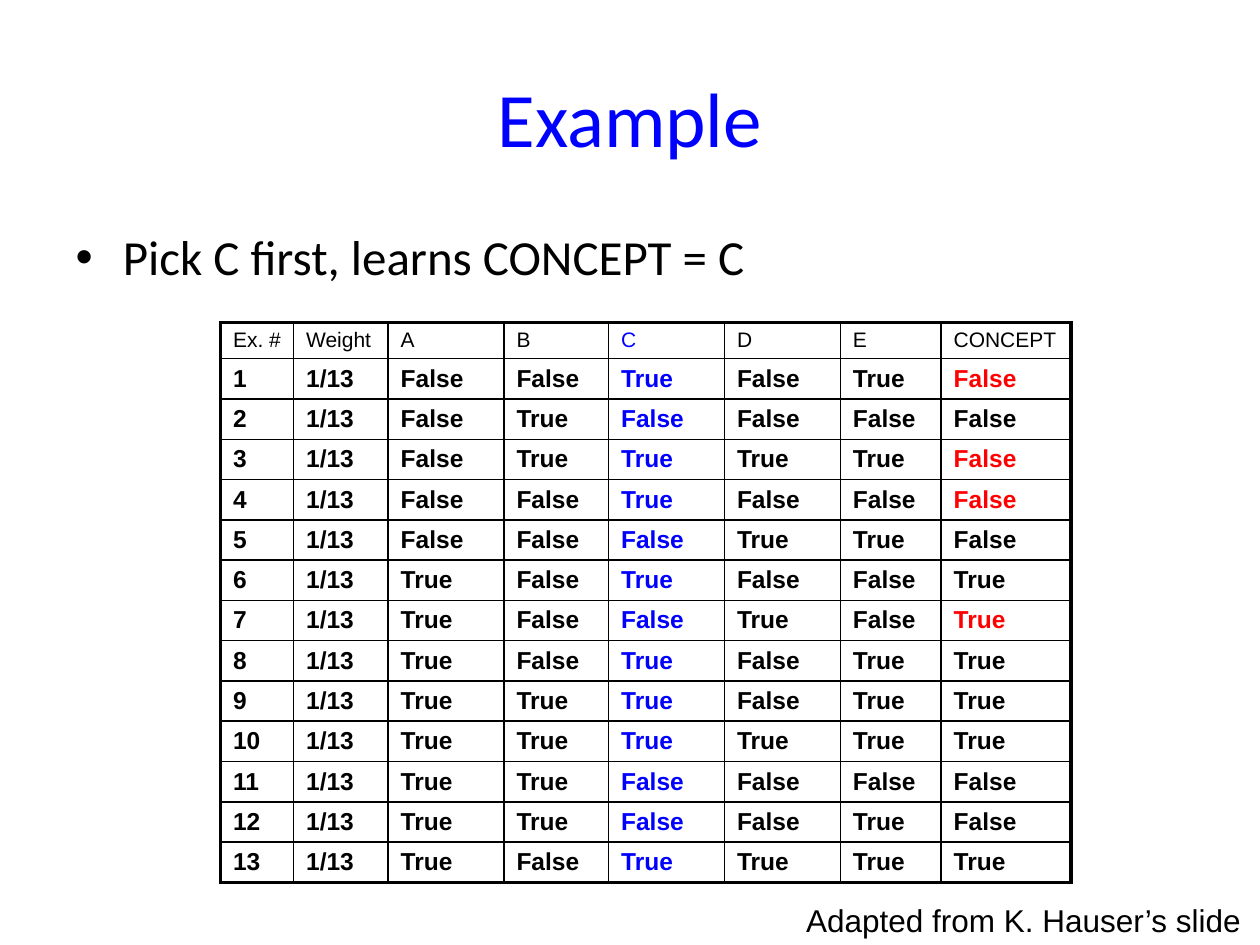
from dataclasses import dataclass

from lxml.etree import SubElement
from pptx import Presentation
from pptx.dml.color import RGBColor
from pptx.enum.text import MSO_ANCHOR as Anchor, MSO_AUTO_SIZE as AutoSize, PP_ALIGN as Align
from pptx.oxml.ns import qn
from pptx.slide import Slide
from pptx.table import _Cell as Cell
from pptx.text.text import TextFrame
from pptx.util import Inches, Pt

BLACK = RGBColor(0x00, 0x00, 0x00)
BLUE = RGBColor(0x00, 0x00, 0xFF)
RED = RGBColor(0xFF, 0x00, 0x00)

THIN, THICK = 1, 2.25
HEADER_HEIGHT, ROW_HEIGHT = 0.28, 0.32


@dataclass(frozen=True)
class Column:
    label: str
    width: float
    color: RGBColor = BLACK


@dataclass(frozen=True)
class Example:
    number: int
    values: str

    @property
    def misclassified(self) -> bool:
        return self.values[2] != self.values[5]

    def texts(self) -> list[str]:
        names = {"T": "True", "F": "False"}
        return [str(self.number), "1/13", *(names[value] for value in self.values)]


COLUMNS = [
    Column("Ex. #", 0.58),
    Column("Weight", 0.75),
    Column("A", 0.92),
    Column("B", 0.83),
    Column("C", 0.92, BLUE),
    Column("D", 0.92),
    Column("E", 0.8),
    Column("CONCEPT", 1.03),
]
VALUES = (
    "FFTFTF FTFFFF FTTTTF FFTFFF FFFTTF TFTFFT TFFTFT "
    "TFTFTT TTTFTT TTTTTT TTFFFF TTFFTF TFTTTT"
)
EXAMPLES = [Example(number, values) for number, values in enumerate(VALUES.split(), 1)]


def write(frame: TextFrame, text: str, *, size: float, font: str = "Arial",
          color: RGBColor = BLACK, bold: bool = False, align: Align = Align.LEFT) -> None:
    paragraph = frame.paragraphs[0]
    paragraph.alignment = align
    paragraph.space_before = Pt(0)
    run = paragraph.add_run()
    run.text = text
    run.font.name = font
    run.font.size = Pt(size)
    run.font.bold = bold
    run.font.color.rgb = color


def set_borders(cell: Cell, widths: dict[str, float]) -> None:
    properties = cell._tc.get_or_add_tcPr()
    for side in ("L", "R", "T", "B"):
        line = SubElement(properties, qn(f"a:ln{side}"), w=str(Pt(widths[side])))
        fill = SubElement(line, qn("a:solidFill"))
        SubElement(fill, qn("a:srgbClr"), val=str(BLACK))


def add_examples_table(slide: Slide, left: float, top: float) -> None:
    rows, columns = len(EXAMPLES) + 1, len(COLUMNS)
    width = sum(column.width for column in COLUMNS)
    height = HEADER_HEIGHT + ROW_HEIGHT * len(EXAMPLES)
    table = slide.shapes.add_table(
        rows, columns, Inches(left), Inches(top), Inches(width), Inches(height)).table
    table.first_row = table.horz_banding = False
    for table_column, column in zip(table.columns, COLUMNS):
        table_column.width = Inches(column.width)
    for row_index, table_row in enumerate(table.rows):
        is_header = row_index == 0
        example = None if is_header else EXAMPLES[row_index - 1]
        texts = example.texts() if example else [column.label for column in COLUMNS]
        table_row.height = Inches(HEADER_HEIGHT if is_header else ROW_HEIGHT)
        for column_index, (cell, text) in enumerate(zip(table_row.cells, texts)):
            is_last = column_index == columns - 1
            wrong = example is not None and is_last and example.misclassified
            set_borders(cell, {
                "L": THICK if column_index == 0 else THIN,
                "R": THICK if is_last else THIN,
                "T": THICK if is_header else THIN,
                "B": THICK if row_index == rows - 1 else THIN,
            })
            cell.fill.background()
            write(cell.text_frame, text, size=12 if is_header else 14, bold=not is_header,
                  color=RED if wrong else COLUMNS[column_index].color)


def main() -> None:
    presentation = Presentation()
    presentation.slide_width, presentation.slide_height = Inches(10), Inches(7.5)
    slide = presentation.slides.add_slide(presentation.slide_layouts[1])

    title, body = slide.placeholders
    title.left, title.top, title.width, title.height = map(Inches, (0.5, 0.3, 9, 1.25))
    title.text_frame.vertical_anchor = Anchor.MIDDLE
    write(title.text_frame, "Example", size=44, font="Calibri", color=BLUE, align=Align.CENTER)

    body.left, body.top, body.width, body.height = map(Inches, (0.5, 1.75, 9, 4.95))
    write(body.text_frame, "Pick C first, learns CONCEPT = C", size=28, font="Calibri")

    add_examples_table(slide, 1.75, 2.56)

    credit = slide.shapes.add_textbox(*map(Inches, (6.3, 7.1, 3.7, 0.4)))
    credit.text_frame.word_wrap = False
    credit.text_frame.auto_size = AutoSize.SHAPE_TO_FIT_TEXT
    write(credit.text_frame, "Adapted from K. Hauser’s slide", size=18)

    presentation.save("out.pptx")


if __name__ == "__main__":
    main()
